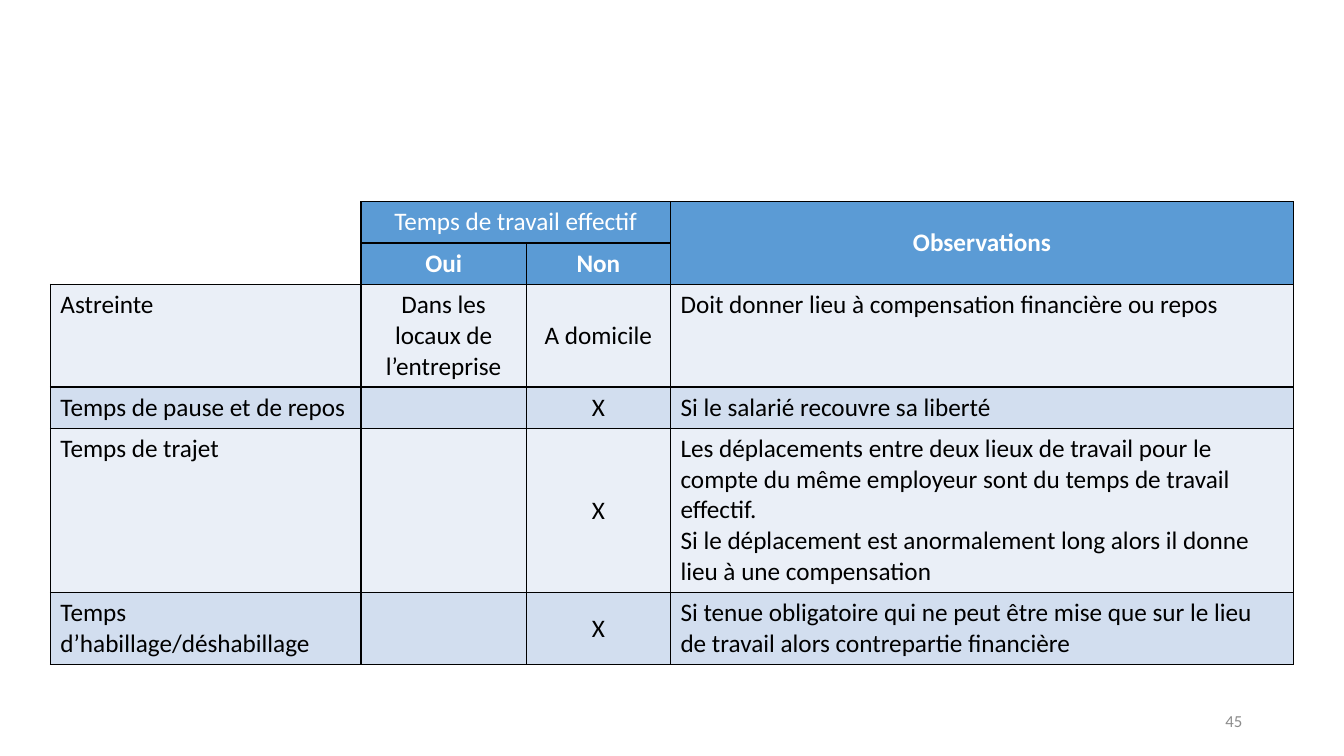
"""Build the slide on working time: a table of cases with remarks."""
from lxml import etree
from pptx import Presentation
from pptx.dml.color import RGBColor as RGB
from pptx.enum.text import MSO_ANCHOR as ANCHOR, PP_ALIGN as ALIGN
from pptx.oxml.ns import qn
from pptx.util import Inches, Pt

FONT = "Calibri"
WHITE, BLACK, GREY = RGB(255, 255, 255), RGB(0, 0, 0), RGB(0x8C, 0x8C, 0x8C)
HEADER = RGB(0x5B, 0x9B, 0xD5)
BANDS = (RGB(0xEA, 0xEF, 0xF7), RGB(0xD2, 0xDE, 0xEF))

PAGE = "45"
HEADS = [
    ["", "Temps de travail effectif", "", "Observations"],
    ["", "Oui", "Non", ""],
]
CASES = [
    ["Astreinte", "Dans les locaux de l’entreprise", "A domicile",
     "Doit donner lieu à compensation financière ou repos"],
    ["Temps de pause et de repos", "", "X", "Si le salarié recouvre sa liberté"],
    ["Temps de trajet", "", "X",
     "Les déplacements entre deux lieux de travail pour le compte du même "
     "employeur sont du temps de travail effectif.\n"
     "Si le déplacement est anormalement long alors il donne lieu à une compensation"],
    ["Temps d’habillage/déshabillage", "", "X",
     "Si tenue obligatoire qui ne peut être mise que sur le lieu de travail "
     "alors contrepartie financière"],
]
ROWS = HEADS + CASES
COLS = (3.08, 1.64, 1.43, 6.18)
HEIGHTS = (0.41, 0.41, 1.02, 0.41, 1.63, 0.71)
MERGES = (((0, 0), (1, 0)), ((0, 1), (0, 2)), ((0, 3), (1, 3)))


def write(tf, text, color, align, size=18, bold=False):
    for i, line in enumerate(text.split("\n")):
        p = tf.paragraphs[0] if i == 0 else tf.add_paragraph()
        p.alignment = align
        if not line:
            continue
        r = p.add_run()
        r.text = line
        r.font.name, r.font.size, r.font.bold = FONT, Pt(size), bold
        r.font.color.rgb = color


def set_borders(cell, hidden=""):
    props = cell._tc.get_or_add_tcPr()
    for side in "LRTB":
        ln = etree.SubElement(props, qn("a:ln" + side), w=str(Pt(1)))
        if side in hidden:
            etree.SubElement(ln, qn("a:noFill"))
        else:
            fill = etree.SubElement(ln, qn("a:solidFill"))
            etree.SubElement(fill, qn("a:srgbClr"), val=str(BLACK))


prs = Presentation()
prs.slide_width, prs.slide_height = Inches(13.33), Inches(7.5)
s = prs.slides.add_slide(prs.slide_layouts[6])

table = s.shapes.add_table(len(ROWS), len(COLS), Inches(0.5), Inches(2),
                           Inches(sum(COLS)), Inches(sum(HEIGHTS))).table
table.first_row = table.horz_banding = False
for col, width in zip(table.columns, COLS):
    col.width = Inches(width)
for row, height in zip(table.rows, HEIGHTS):
    row.height = Inches(height)
for start, end in MERGES:
    table.cell(*start).merge(table.cell(*end))

for y, texts in enumerate(ROWS):
    is_head = y < len(HEADS)
    for x, text in enumerate(texts):
        cell = table.cell(y, x)
        is_corner = is_head and x == 0
        centred = is_head or x in (1, 2)
        set_borders(cell, "LT" if is_corner else "")
        if is_corner:
            cell.fill.background()
        else:
            cell.fill.solid()
            cell.fill.fore_color.rgb = HEADER if is_head else BANDS[y % 2]
        cell.vertical_anchor = ANCHOR.MIDDLE if centred else ANCHOR.TOP
        write(cell.text_frame, text, WHITE if is_head else BLACK,
              ALIGN.CENTER if centred else ALIGN.LEFT,
              bold=is_head and (y, x) != (0, 1))

tf = s.shapes.add_textbox(Inches(9.42), Inches(6.95), Inches(3), Inches(0.4)).text_frame
tf.word_wrap = True
tf.vertical_anchor = ANCHOR.MIDDLE
write(tf, PAGE, GREY, ALIGN.RIGHT, size=12)

prs.save("out.pptx")
